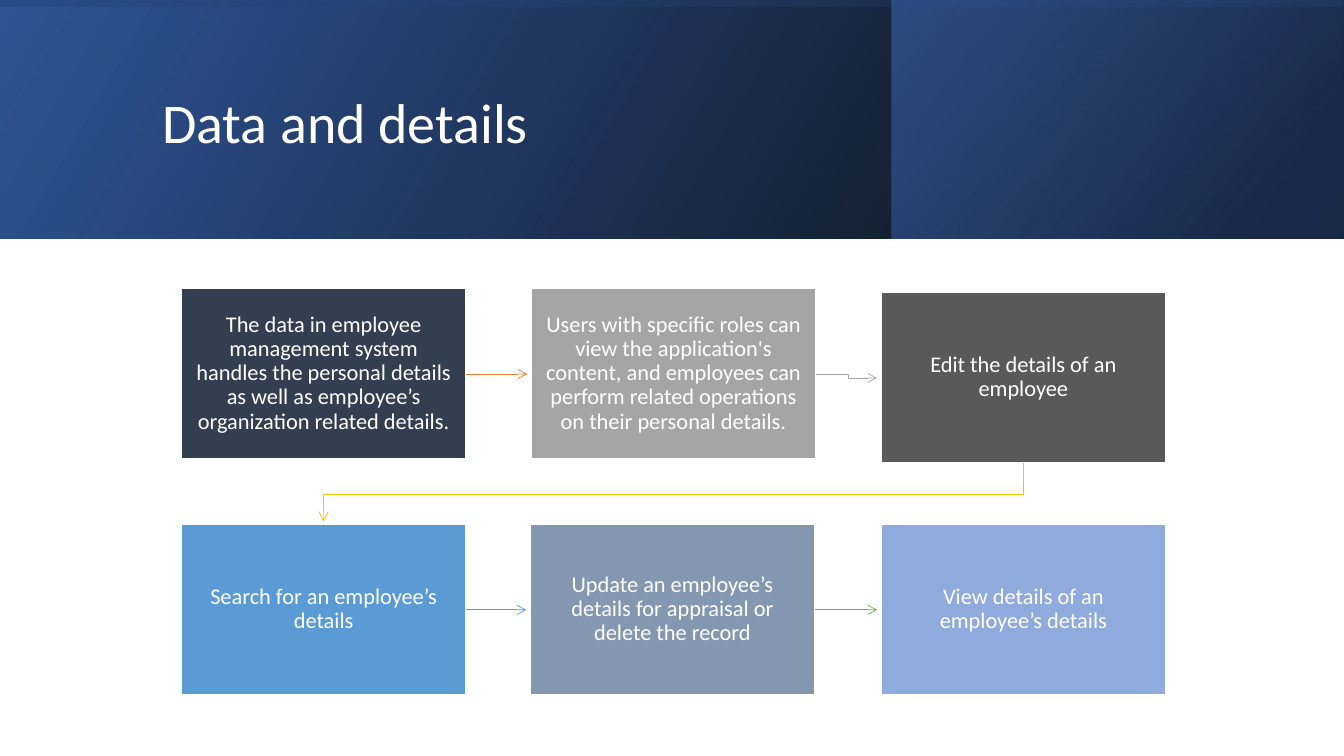
from lxml import etree
from pptx import Presentation
from pptx.dml.color import RGBColor
from pptx.enum.shapes import MSO_CONNECTOR, MSO_SHAPE
from pptx.enum.text import MSO_ANCHOR, PP_ALIGN
from pptx.oxml.ns import qn
from pptx.util import Inches, Pt

RECT = MSO_SHAPE.RECTANGLE
STRAIGHT = MSO_CONNECTOR.STRAIGHT
MIDDLE = MSO_ANCHOR.MIDDLE
LEFT, CENTER = PP_ALIGN.LEFT, PP_ALIGN.CENTER

WIDE, HIGH = 13.33, 7.5
BAND = 2.37
BOX_W, BOX_H = 2.82, 1.69

LAYERS = [
    ((0, 0, WIDE, BAND), 0, 330, [(0, "000000", 96), (1, "2F5597", 100)]),
    ((8.84, 0, 4.48, BAND), 0, 320, [(0.19, "203864", 68), (1, "4472C4", 48)]),
    ((5.48, -5.48, BAND, WIDE), 270, 350, [(0.23, "2F5597", 16), (0.99, "000000", 45)]),
]
STEPS = [
    (1.8, 2.86, "333F50", "The data in employee management system handles the personal details as well as employee’s organization related details."),
    (5.27, 2.86, "A5A5A5", "Users with specific roles can view the application's content, and employees can perform related operations on their personal details."),
    (8.74, 2.9, "595959", "Edit the details of an employee"),
    (1.8, 5.2, "5B9BD5", "Search for an employee’s details"),
    (5.26, 5.2, "8497B0", "Update an employee’s details for appraisal or delete the record"),
    (8.74, 5.2, "8FAADC", "View details of an employee’s details"),
]
ROUTES = [
    ("ED7D31", [(4.62, 3.71), (5.23, 3.71)]),
    ("A5A5A5", [(8.09, 3.71), (8.41, 3.71), (8.41, 3.75), (8.7, 3.75)]),
    ("FFC000", [(10.15, 4.59), (10.15, 4.9), (3.21, 4.9), (3.21, 5.17)]),
    ("5B9BD5", [(4.62, 6.05), (5.22, 6.05)]),
    ("70AD47", [(8.08, 6.05), (8.7, 6.05)]),
]


def color(code):
    return RGBColor.from_string(code)


def apply(target, values):
    for name, value in values.items():
        setattr(target, name, value)


def place(*sizes):
    return [Inches(size) for size in sizes]


def write(shape, text, size, align, side, edge):
    frame = shape.text_frame
    apply(frame, {
        "word_wrap": True, "vertical_anchor": MIDDLE,
        "margin_left": Inches(side), "margin_right": Inches(side),
        "margin_top": Inches(edge), "margin_bottom": Inches(edge),
    })
    line = frame.paragraphs[0]
    apply(line, {"alignment": align, "line_spacing": 0.9})
    run = line.add_run()
    run.text = text
    apply(run.font, {"name": "Calibri", "size": Pt(size)})
    run.font.color.rgb = color("FFFFFF")


def add_layer(slide, area, turn, angle, stops):
    shape = slide.shapes.add_shape(RECT, *place(*area))
    shape.shadow.inherit = False
    shape.rotation = turn
    shape.line.fill.background()
    fill = shape.fill
    fill.gradient()
    fill.gradient_angle = 360 - angle
    for stop, (spot, code, _) in zip(fill.gradient_stops, stops):
        stop.position = spot
        stop.color.rgb = color(code)
    props = shape._element.spPr
    props.find(qn("a:xfrm")).set("flipH", "1")
    for paint, (_, _, solid) in zip(props.iter(qn("a:srgbClr")), stops):
        etree.SubElement(paint, qn("a:alpha")).set("val", str(solid * 1000))


def add_title(slide, text):
    box = slide.shapes.add_textbox(*place(1.51, 0.38, 10.63, 1.72))
    write(box, text, 40, LEFT, 0.1, 0.05)


def add_step(slide, left, top, code, text):
    shape = slide.shapes.add_shape(RECT, *place(left, top, BOX_W, BOX_H))
    shape.shadow.inherit = False
    shape.fill.solid()
    shape.fill.fore_color.rgb = color(code)
    shape.line.color.rgb = color("FFFFFF")
    shape.line.width = Pt(1)
    write(shape, text, 16, CENTER, 0.14, 0.15)


def add_route(slide, code, points):
    points = [place(*point) for point in points]
    if len(points) == 2:
        shape = slide.shapes.add_connector(STRAIGHT, *points[0], *points[1])
    else:
        pen = slide.shapes.build_freeform(*points[0])
        pen.add_line_segments(points[1:], close=False)
        shape = pen.convert_to_shape()
        shape.fill.background()
    shape.line.color.rgb = color(code)
    shape.line.width = Pt(0.5)
    props = shape._element.spPr
    etree.SubElement(props.find(qn("a:ln")), qn("a:tailEnd")).set("type", "arrow")
    etree.SubElement(props, qn("a:effectLst"))


def main():
    deck = Presentation()
    apply(deck, {"slide_width": Inches(WIDE), "slide_height": Inches(HIGH)})
    slide = deck.slides.add_slide(deck.slide_layouts[6])
    for layer in LAYERS:
        add_layer(slide, *layer)
    add_title(slide, "Data and details")
    for route in ROUTES:
        add_route(slide, *route)
    for step in STEPS:
        add_step(slide, *step)
    deck.save("out.pptx")


if __name__ == "__main__":
    main()
